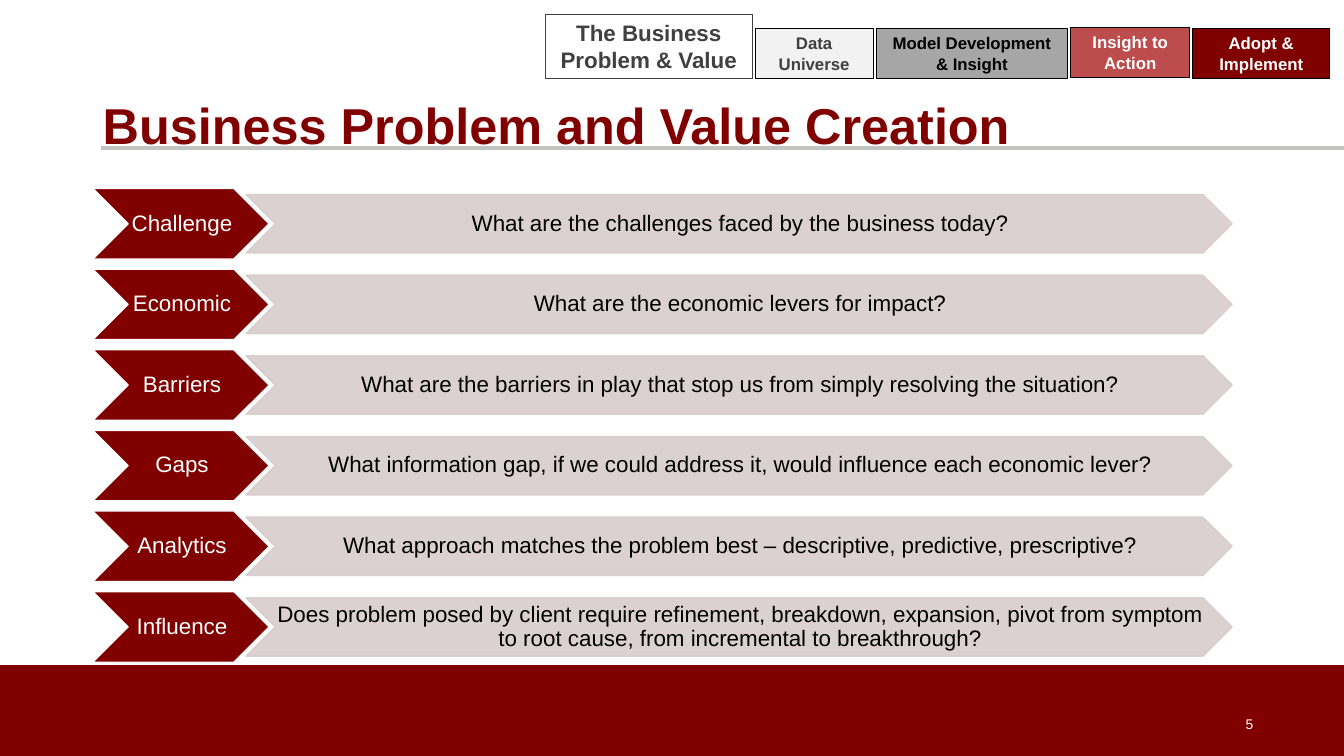
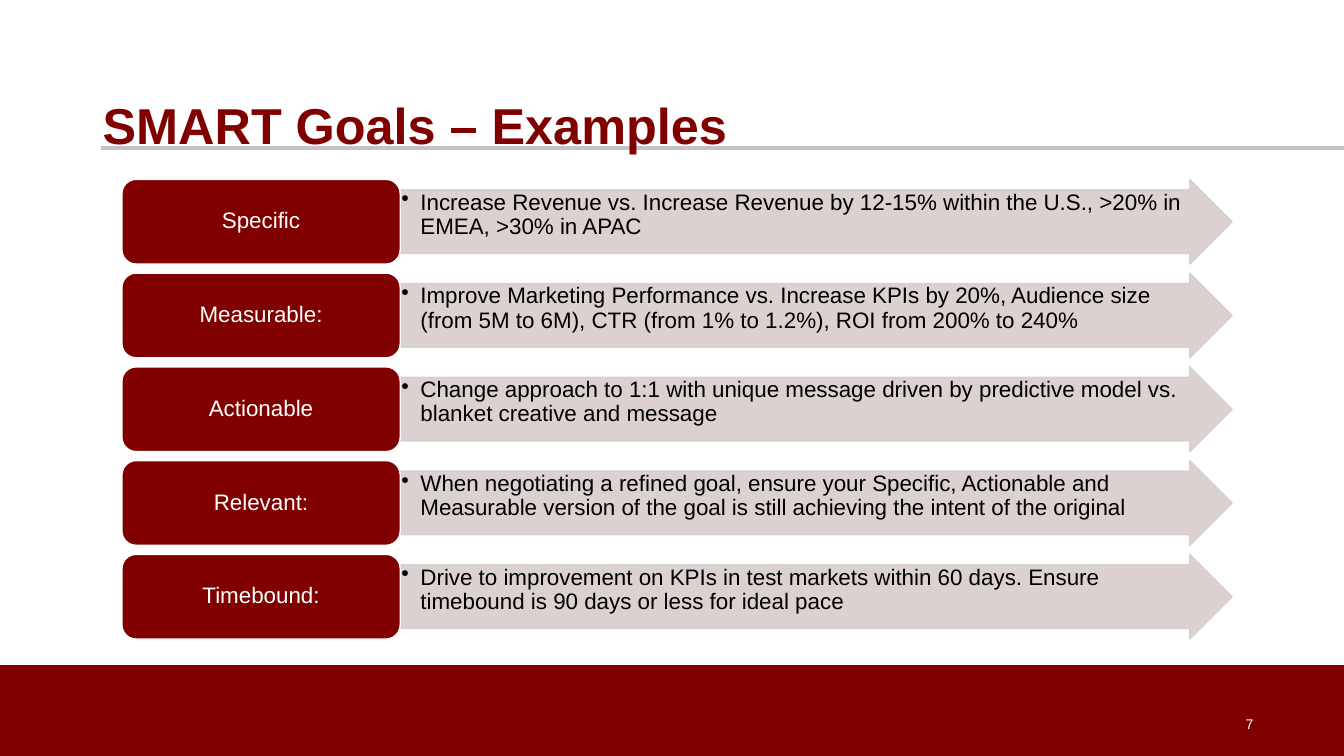
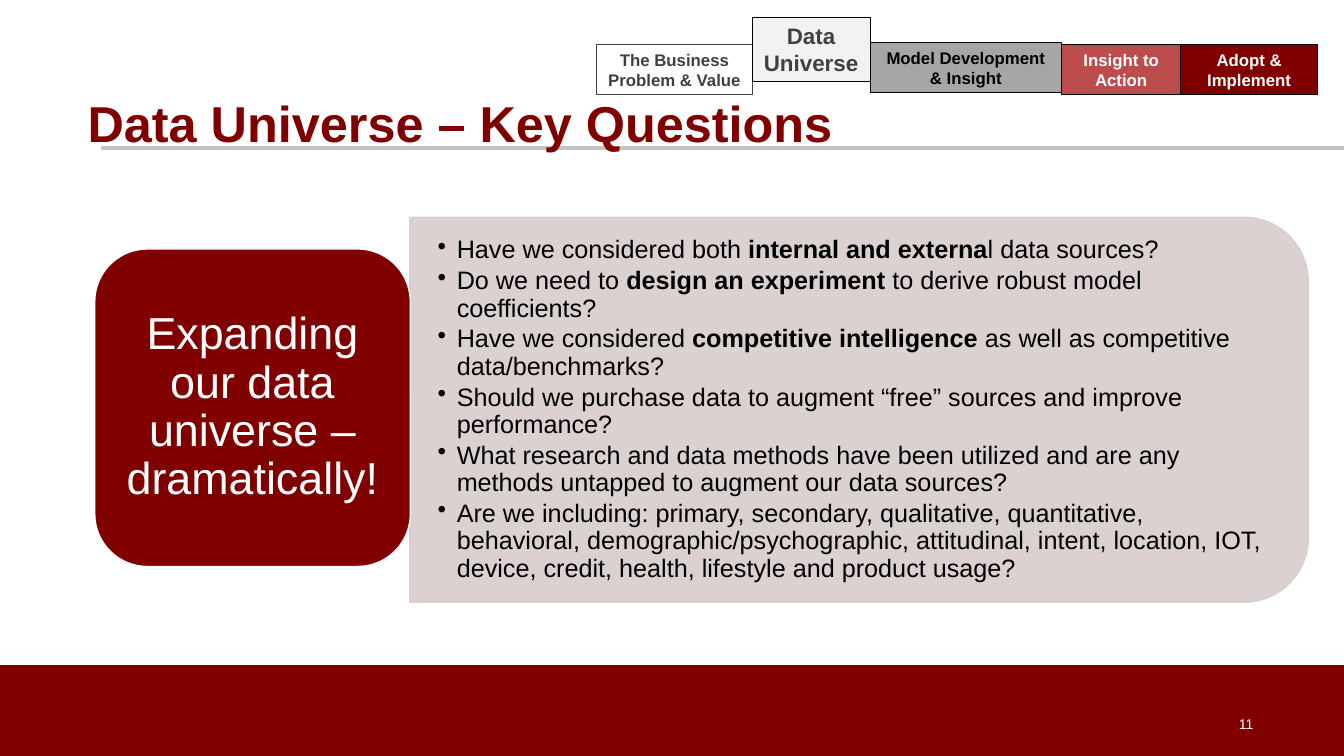
from lxml import etree
from pptx import Presentation
from pptx import util as u
from pptx.dml.color import RGBColor
from pptx.enum import shapes, text
from pptx.oxml.ns import qn

PX = 9144
INK = {
    "maroon": "800000", "rose": "A10000", "blush": "D8CCCC", "rule": "C2C4C2",
    "white": "FFFFFF", "black": "000000", "slate": "404040",
    "pale": "F2F2F2", "gray": "A6A6A6",
}
ALPHA = {"blush": 90, "rose": 70}
KIND = shapes.MSO_SHAPE
ALIGN = text.PP_ALIGN
MID = text.MSO_ANCHOR.MIDDLE
TOP = text.MSO_ANCHOR.TOP

STAGES = [
    ("The Business Problem & Value", 154, "white", "slate", "slate"),
    ("Data Universe", 117, "pale", "black", "slate"),
    ("Model Development & Insight", 190, "gray", "black", "black"),
    ("Insight to Action", 118, "rose", "black", "white"),
    ("Adopt & Implement", 136, "maroon", "black", "white"),
]
ASKS = [
    ("Challenge", "What are the challenges faced by the business today?"),
    ("Economic", "What are the economic levers for impact?"),
    ("Barriers", "What are the barriers in play that stop us from simply resolving the situation?"),
    ("Gaps", "What information gap, if we could address it, would influence each economic lever?"),
    ("Analytics", "What approach matches the problem best – descriptive, predictive, prescriptive?"),
    ("Influence", "Does problem posed by client require refinement, breakdown, expansion, "
                  "pivot from symptom to root cause, from incremental to breakthrough?"),
]
GOALS = [
    ("Specific", "Increase Revenue vs. Increase Revenue by 12-15% within the U.S., "
                 ">20% in EMEA, >30% in APAC"),
    ("Measurable:", "Improve Marketing Performance vs. Increase KPIs by 20%, Audience size "
                    "(from 5M to 6M), CTR (from 1% to 1.2%), ROI from 200% to 240%"),
    ("Actionable", "Change approach to 1:1 with unique message driven by predictive model "
                   "vs. blanket creative and message"),
    ("Relevant:", "When negotiating a refined goal, ensure your Specific, Actionable and "
                  "Measurable version of the goal is still achieving the intent of the original"),
    ("Timebound:", "Drive to improvement on KPIs in test markets within 60 days. Ensure "
                   "timebound is 90 days or less for ideal pace"),
]
POINTS = [
    "Have we considered both *internal and externa*l data sources?",
    "Do we need to *design an experiment *to derive robust model coefficients?",
    "Have we considered *competitive intelligence* as well as competitive data/benchmarks?",
    "Should we purchase data to augment “free” sources and improve performance?",
    "What research and data methods have been utilized and are any methods untapped "
    "to augment our data sources?",
    "Are we including: primary, secondary, qualitative, quantitative, behavioral, "
    "demographic/psychographic, attitudinal, intent, location, IOT, device, credit, "
    "health, lifestyle and product usage?",
]


def rgb(ink):
    return RGBColor.from_string(INK[ink])


class Deck:
    """Holds the shared style and the slide being drawn."""

    def __init__(self):
        self.prs = Presentation()
        self.prs.slide_width = 1333 * PX
        self.prs.slide_height = 750 * PX
        self.slide = None

    def page(self, title, num, left=92, top=51):
        self.slide = self.prs.slides.add_slide(self.prs.slide_layouts[6])
        self.shape(KIND.RECTANGLE, (0, 660, 1333, 90), "maroon")
        self.rule((100, 147), (1333, 147))
        self.label((left, top, 1150, 145), [title], 36, "maroon", bold=True)
        self.label((942, 698, 311, 40), [str(num)], 10, "white", align=ALIGN.RIGHT)

    def rule(self, start, end):
        line = self.slide.shapes.add_connector(
            shapes.MSO_CONNECTOR.STRAIGHT, *(v * PX for v in start + end))
        line.line.color.rgb = rgb("rule")
        line.line.width = u.Pt(3)
        etree.SubElement(line.element.spPr, qn("a:effectLst"))

    def shape(self, kind, box, fill, edge=None, width=1):
        item = self.slide.shapes.add_shape(kind, *(v * PX for v in box))
        item.shadow.inherit = False
        item.fill.solid()
        item.fill.fore_color.rgb = rgb(fill)
        if edge:
            item.line.color.rgb = rgb(edge)
            item.line.width = u.Pt(width)
        else:
            item.line.fill.background()
        if fill in ALPHA:
            for tint in item.element.spPr.iter(qn("a:srgbClr")):
                if tint.get("val") == INK[fill]:
                    etree.SubElement(tint, qn("a:alpha"), val=str(ALPHA[fill] * 1000))
        return item

    def label(self, box, lines, size, ink, **style):
        item = self.slide.shapes.add_textbox(*(v * PX for v in box))
        self.words(item, lines, size, ink, **style)

    def words(self, item, lines, size, ink, align=ALIGN.LEFT, anchor=MID,
              inset=(10, 5, 10, 5), bold=False, lead=None, after=0, bullet=False):
        frame = item.text_frame
        frame.word_wrap = True
        frame.vertical_anchor = anchor
        (frame.margin_left, frame.margin_top,
         frame.margin_right, frame.margin_bottom) = (v * PX for v in inset)
        for i, line in enumerate(lines):
            para = frame.add_paragraph() if i else frame.paragraphs[0]
            para.alignment = align
            para.line_spacing = lead
            para.space_after = u.Pt(after)
            if bullet:
                props = para._p.get_or_add_pPr()
                props.set("marL", str(19 * PX))
                props.set("indent", str(-19 * PX))
                etree.SubElement(props, qn("a:buChar"), char="•")
            para.font.name = "Arial"
            para.font.size = u.Pt(size)
            para.font.bold = bold
            para.font.color.rgb = rgb(ink)
            for j, part in enumerate(line.split("*")):
                run = para.add_run()
                run.text = part
                if j % 2:
                    run.font.bold = True

    def stages(self, left, gap, tops, live):
        for i, (name, wide, fill, edge, ink) in enumerate(STAGES):
            big = i == live
            if big and i == 0:
                wide = 205
            box = (left, tops[i], wide, 64 if big else 50)
            tab = self.shape(KIND.RECTANGLE, box, fill, edge, 0.75)
            self.words(tab, [name], 16 if big else 12, ink, ALIGN.CENTER, TOP, bold=True)
            left += wide + gap

    def block(self, kind, box, name, size, inset):
        item = self.shape(kind, box, "maroon", "white")
        self.words(item, [name], size, "white", ALIGN.CENTER, inset=inset, lead=0.9)

    def ask(self, top, name, line):
        inset = (2, 1, 0, 1)
        self.block(KIND.CHEVRON, (92, top, 175, 70), name, 16, inset)
        bar = self.shape(KIND.CHEVRON, (244, top + 6, 978, 58), "blush", "blush")
        self.words(bar, [line], 16, "black", ALIGN.CENTER, inset=inset, lead=0.9)

    def goal(self, top, name, line):
        arrow = self.shape(KIND.RIGHT_ARROW, (397, top, 825, 84), "blush", "blush")
        arrow.adjustments[0] = 0.75
        self.words(arrow, [line], 16, "black", anchor=TOP, inset=(1, 1, 1, 1),
                   lead=0.9, bullet=True)
        self.block(KIND.ROUNDED_RECTANGLE, (121, top, 276, 84), name, 16, (7, 3, 7, 3))

    def panel(self, name, lines):
        card = self.shape(KIND.ROUND_2_SAME_RECTANGLE, (661, -39, 382, 891), "blush", "blush")
        card.rotation = 90
        self.label((407, 234, 872, 345), lines, 18, "black", inset=(27, 14, 27, 14),
                   lead=0.9, after=2.7, bullet=True)
        self.block(KIND.ROUNDED_RECTANGLE, (94, 247, 313, 315), name, 32, (13, 7, 13, 7))


def main():
    deck = Deck()

    deck.page("Business Problem and Value Creation", 5)
    deck.stages(541, 3, (14, 28, 28, 27, 28), 0)
    for i, (name, line) in enumerate(ASKS):
        deck.ask(187 + 80 * i, name, line)

    deck.page("SMART Goals – Examples", 7)
    for i, (name, line) in enumerate(GOALS):
        deck.goal(178 + 93 * i, name, line)

    deck.page("Data Universe – Key Questions", 11, 77, 49)
    deck.stages(592, 0, (44, 17, 42, 44, 44), 1)
    deck.panel("Expanding our data universe – dramatically!", POINTS)

    deck.prs.save("out.pptx")


if __name__ == "__main__":
    main()
